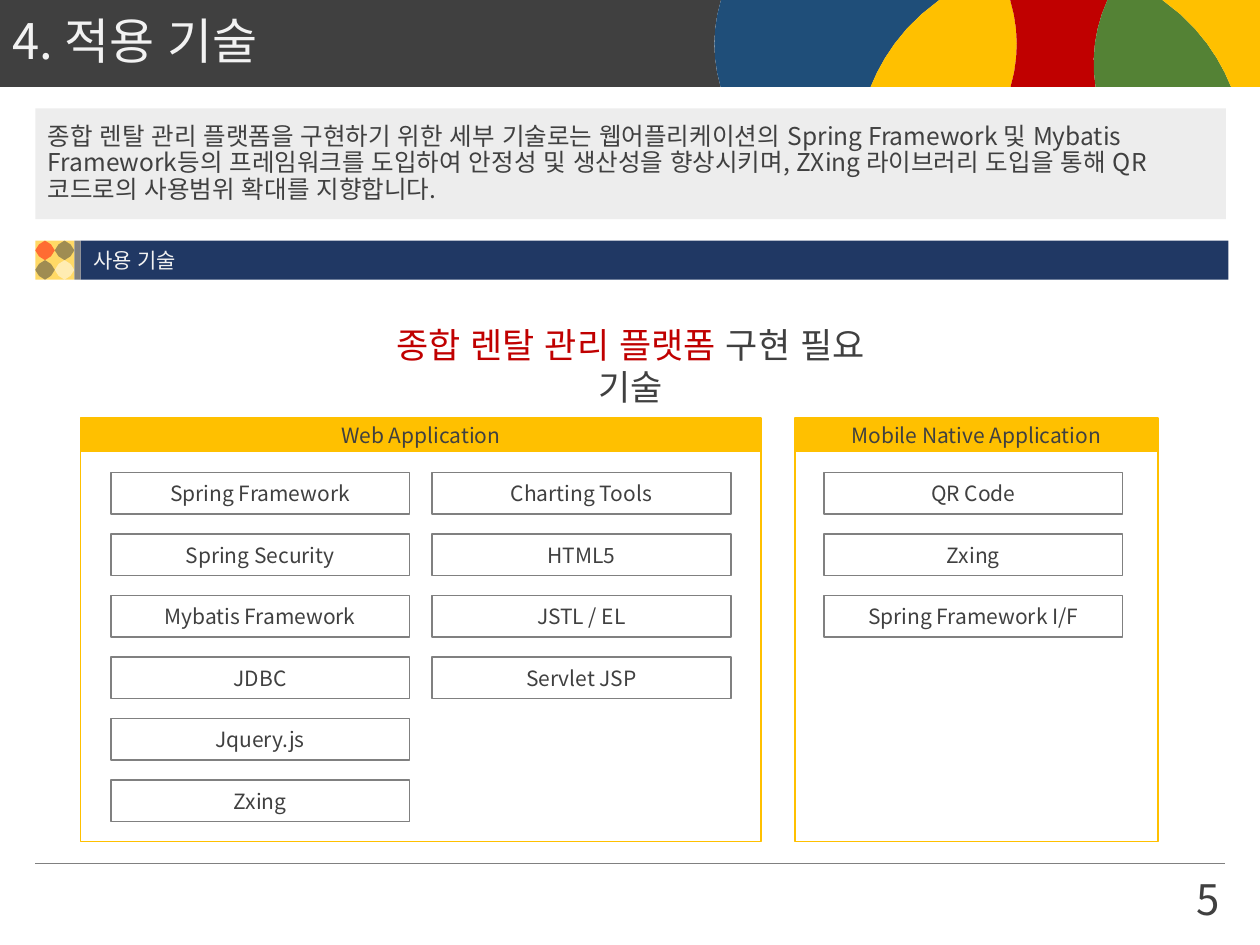
from math import sqrt

from lxml.etree import SubElement
from pptx import Presentation
from pptx.dml.color import RGBColor
from pptx.enum.lang import MSO_LANGUAGE_ID
from pptx.enum.shapes import MSO_CONNECTOR, MSO_SHAPE
from pptx.enum.text import MSO_ANCHOR, PP_ALIGN
from pptx.oxml.ns import qn
from pptx.util import Inches, Pt

FONT = "Noto Sans CJK KR"
COLORS = {
    "blue": "1F4E79", "gold": "FFC000", "red": "C00000", "green": "548235",
    "dark": "404040", "gray": "808080", "pale": "EDEDED", "light": "F2F2F2",
    "navy": "203864", "sand": "FFD966", "fire": "FF0000", "white": "FFFFFF",
}
BAND = 0.69
INTRO = (
    "종합 렌탈 관리 플랫폼을 구현하기 위한 세부 기술로는 웹어플리케이션의 "
    "Spring Framework 및 Mybatis Framework등의 프레임워크를 도입하여 "
    "안정성 및 생산성을 향상시키며, ZXing 라이브러리 도입을 통해 "
    "QR코드로의 사용범위 확대를 지향합니다."
)
WEB = [
    ["Spring Framework", "Spring Security", "Mybatis Framework",
     "JDBC", "Jquery.js", "Zxing"],
    ["Charting Tools", "HTML5", "JSTL / EL", "Servlet JSP"],
]
MOBILE = [["QR Code", "Zxing", "Spring Framework I/F"]]


def color(name):
    """Return the named colour."""
    return RGBColor.from_string(COLORS[name])


def paint(shape, fill, line=None):
    """Set fill and outline, with no shadow."""
    shape.shadow.inherit = False
    shape.fill.solid()
    shape.fill.fore_color.rgb = color(fill)
    if line:
        shape.line.color.rgb = color(line)
        shape.line.width = Pt(1)
    else:
        shape.line.fill.background()


def write(shape, parts, size, align=PP_ALIGN.LEFT,
          anchor=MSO_ANCHOR.MIDDLE, space=None):
    """Write one paragraph made of (text, colour) parts."""
    frame = shape.text_frame
    frame.word_wrap = True
    frame.vertical_anchor = anchor
    para = frame.paragraphs[0]
    para.alignment = align
    if space:
        para.line_spacing = space
    for text, tint in parts:
        run = para.add_run()
        run.text = text
        run.font.size = Pt(size)
        run.font.name = FONT
        run.font.color.rgb = color(tint)
        run.font.language_id = MSO_LANGUAGE_ID.KOREAN
        SubElement(run.font._element, qn("a:ea")).set("typeface", FONT)


def add_box(shapes, area, fill, line=None, kind=MSO_SHAPE.RECTANGLE):
    """Add a filled preset shape."""
    box = shapes.add_shape(kind, *map(Inches, area))
    paint(box, fill, line)
    return box


def add_text(shapes, area, parts, size, **style):
    """Add a text box."""
    write(shapes.add_textbox(*map(Inches, area)), parts, size, **style)


def add_rule(shapes, left, right, top):
    """Add a thin level line."""
    rule = shapes.add_connector(
        MSO_CONNECTOR.STRAIGHT, *map(Inches, (left, top, right, top)))
    rule.line.color.rgb = color("gray")
    rule.line.width = Pt(0.5)
    SubElement(rule._element.spPr, qn("a:effectLst"))


def arc(mid_x, mid_y, radius, side):
    """Return the points of a circle's side inside the band."""
    steps = [BAND * i / 6 for i in range(7)]
    return [(mid_x + side * sqrt(radius ** 2 - (y - mid_y) ** 2), y)
            for y in steps]


def add_band(shapes):
    """Add the header band, cut by three circles."""
    ring, dome, disc = (6.87, 0.35, 1.2), (8.34, 1.26, 1.54), (9.88, 0.5, 1.2)
    edges = [
        [(0, 0), (0, BAND)], arc(*ring, -1), arc(*dome, -1),
        arc(*ring, 1), arc(*disc, -1), arc(*dome, 1), [(10, 0), (10, BAND)],
    ]
    fills = ["dark", "blue", "gold", "red", "green", "gold"]
    for left, right, fill in zip(edges, edges[1:], fills):
        first, *rest = [(Inches(x), Inches(y)) for x, y in left + right[::-1]]
        pen = shapes.build_freeform(*first)
        pen.add_line_segments(rest, close=True)
        paint(pen.convert_to_shape(), fill)


def add_stars(shapes, left, top):
    """Add the tile of four see-through stars."""
    side = 0.155
    add_box(shapes, (left, top, 2 * side, 2 * side), "sand")
    for i, fill in enumerate(["fire", "dark", "dark", "white"]):
        row, col = divmod(i, 2)
        area = (left + col * side, top + row * side, side, side)
        star = add_box(shapes, area, fill, kind=MSO_SHAPE.STAR_4_POINT)
        star.adjustments[0] = 0.432
        tint = star._element.spPr.find(qn("a:solidFill"))[0]
        SubElement(tint, qn("a:alpha")).set("val", "50000")


def add_panel(shapes, left, width, title, start, lists):
    """Add a titled frame with columns of labelled boxes."""
    head = add_box(shapes, (left, 3.32, width, 0.26), "gold", "gold")
    write(head, [(title, "dark")], 12, PP_ALIGN.CENTER)
    add_box(shapes, (left, 3.58, width, 3.1), "white", "gold")
    for col, names in enumerate(lists):
        for row, name in enumerate(names):
            area = (start + col * 2.55, 3.75 + row * 0.488, 2.37, 0.33)
            cell = add_box(shapes, area, "white", "gray")
            write(cell, [(name, "dark")], 12, PP_ALIGN.CENTER)


def main():
    """Build and save the slide."""
    deck = Presentation()
    deck.slide_width, deck.slide_height = Inches(10), Inches(7.5)
    shapes = deck.slides.add_slide(deck.slide_layouts[6]).shapes

    add_band(shapes)
    add_text(shapes, (8.87, 6.88, 0.91, 0.5), [("5", "dark")], 24,
             align=PP_ALIGN.RIGHT, anchor=MSO_ANCHOR.TOP)
    add_rule(shapes, 0.28, 9.72, 6.85)
    add_text(shapes, (0, 0, 10, BAND), [("4. 적용 기술", "light")], 28,
             space=0.9)
    intro = add_box(shapes, (0.28, 0.86, 9.45, 0.88), "pale")
    write(intro, [(INTRO, "dark")], 14, space=0.9)

    add_stars(shapes, 0.28, 1.91)
    bar = add_box(shapes, (0.64, 1.91, 9.11, 0.31), "navy")
    write(bar, [("사용 기술", "light")], 12)
    add_box(shapes, (0.59, 1.91, 0.05, 0.31), "gray")

    topic = add_box(shapes, (2.82, 2.52, 4.37, 0.44), "white")
    write(topic, [("종합 렌탈 관리 플랫폼 ", "red"), ("구현 필요 기술", "dark")],
          20, PP_ALIGN.CENTER, MSO_ANCHOR.TOP)

    add_panel(shapes, 0.64, 5.4, "Web Application", 0.88, WEB)
    add_panel(shapes, 6.31, 2.88, "Mobile Native Application", 6.54, MOBILE)
    deck.save("out.pptx")


main()
